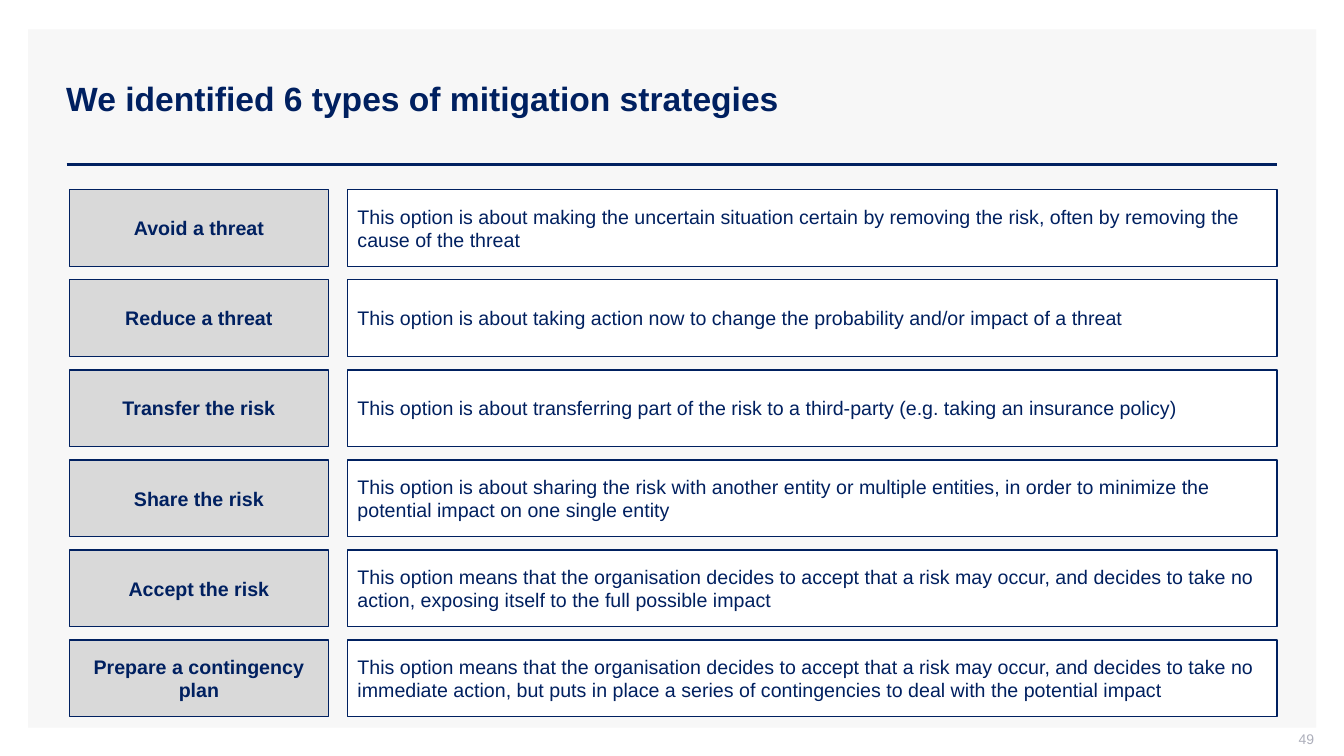
from lxml import etree
from pptx import Presentation
from pptx.dml.color import RGBColor
from pptx.enum import shapes, text
from pptx.oxml.ns import qn
from pptx.util import Cm, Pt

NAVY = RGBColor(0x00, 0x20, 0x60)
PALE = RGBColor(0xF7, 0xF7, 0xF7)
GREY = RGBColor(0xD9, 0xD9, 0xD9)
WHITE = RGBColor(0xFF, 0xFF, 0xFF)
MUTED = RGBColor(0xAD, 0xAF, 0xBB)
LEFT, MID, RIGHT = text.PP_ALIGN.LEFT, text.PP_ALIGN.CENTER, text.PP_ALIGN.RIGHT

ROWS = [
    ("Avoid a threat",
     "This option is about making the uncertain situation certain by removing "
     "the risk, often by removing the cause of the threat"),
    ("Reduce a threat",
     "This option is about taking action now to change the probability and/or "
     "impact of a threat"),
    ("Transfer the risk",
     "This option is about transferring part of the risk to a third-party "
     "(e.g. taking an insurance policy)"),
    ("Share the risk",
     "This option is about sharing the risk with another entity or multiple "
     "entities, in order to minimize the potential impact on one single entity"),
    ("Accept the risk",
     "This option means that the organisation decides to accept that a risk may "
     "occur, and decides to take no action, exposing itself to the full possible impact"),
    ("Prepare a contingency plan",
     "This option means that the organisation decides to accept that a risk may "
     "occur, and decides to take no immediate action, but puts in place a series "
     "of contingencies to deal with the potential impact"),
]
TOP, STEP, HIGH = 4.78, 2.27, 1.93


def add_rect(x, y, w, h, fill, edge=None):
    box = slide.shapes.add_shape(
        shapes.MSO_SHAPE.RECTANGLE, Cm(x), Cm(y), Cm(w), Cm(h))
    box.shadow.inherit = False
    box.fill.solid()
    box.fill.fore_color.rgb = fill
    if edge is None:
        box.line.fill.background()
    else:
        box.line.color.rgb = edge
        box.line.width = Pt(1)
    return box


def write(box, words, size, color=NAVY, bold=False, align=LEFT):
    """Put one wrapped, vertically centred paragraph in the box."""
    frame = box.text_frame
    frame.word_wrap = True
    frame.vertical_anchor = text.MSO_ANCHOR.MIDDLE
    para = frame.paragraphs[0]
    para.text = words
    para.alignment = align
    para.font.name = "Arial"
    para.font.size = Pt(size)
    para.font.bold = bold
    para.font.color.rgb = color
    return para


deck = Presentation()
deck.slide_width, deck.slide_height = Cm(33.87), Cm(19.05)
slide = deck.slides.add_slide(deck.slide_layouts[6])

add_rect(0.71, 0.74, 32.46, 17.6, PALE)

rule = slide.shapes.add_connector(
    shapes.MSO_CONNECTOR.STRAIGHT, Cm(1.68), Cm(4.14), Cm(32.18), Cm(4.14))
rule.line.color.rgb = NAVY
rule.line.width = Pt(2)
etree.SubElement(rule._element.spPr, qn("a:effectLst"))

title = slide.shapes.add_textbox(Cm(1.42), Cm(1.02), Cm(30.76), Cm(3.02))
write(title, "We identified 6 types of mitigation strategies", 24, bold=True).line_spacing = 0.9

page = slide.shapes.add_textbox(Cm(25.5), Cm(18.42), Cm(7.62), Cm(0.53))
write(page, "49", 10, MUTED, align=RIGHT)
page.text_frame.margin_top = page.text_frame.margin_right = 0

for i, (name, note) in enumerate(ROWS):
    y = TOP + i * STEP
    write(add_rect(1.75, y, 6.53, HIGH, GREY, NAVY), name, 14, bold=True, align=MID)
    write(add_rect(8.76, y, 23.42, HIGH, WHITE, NAVY), note, 14)

deck.save("out.pptx")
